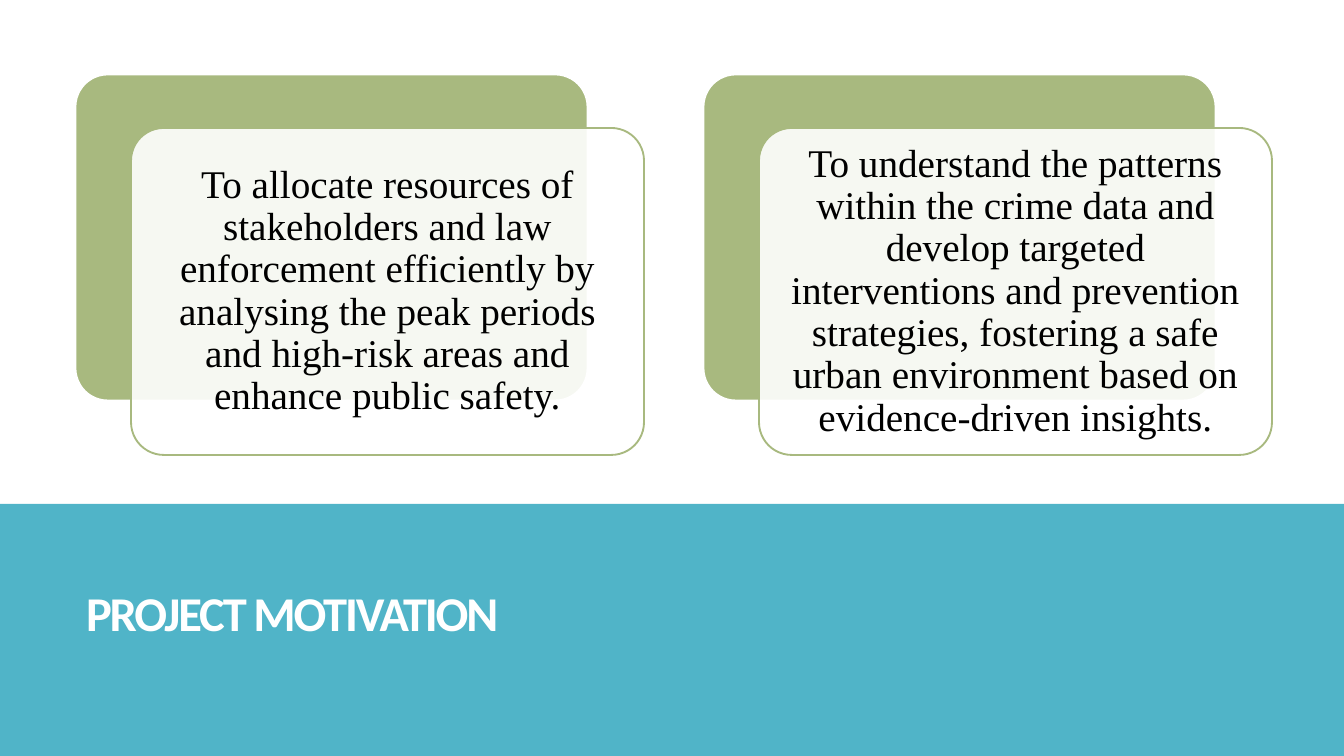
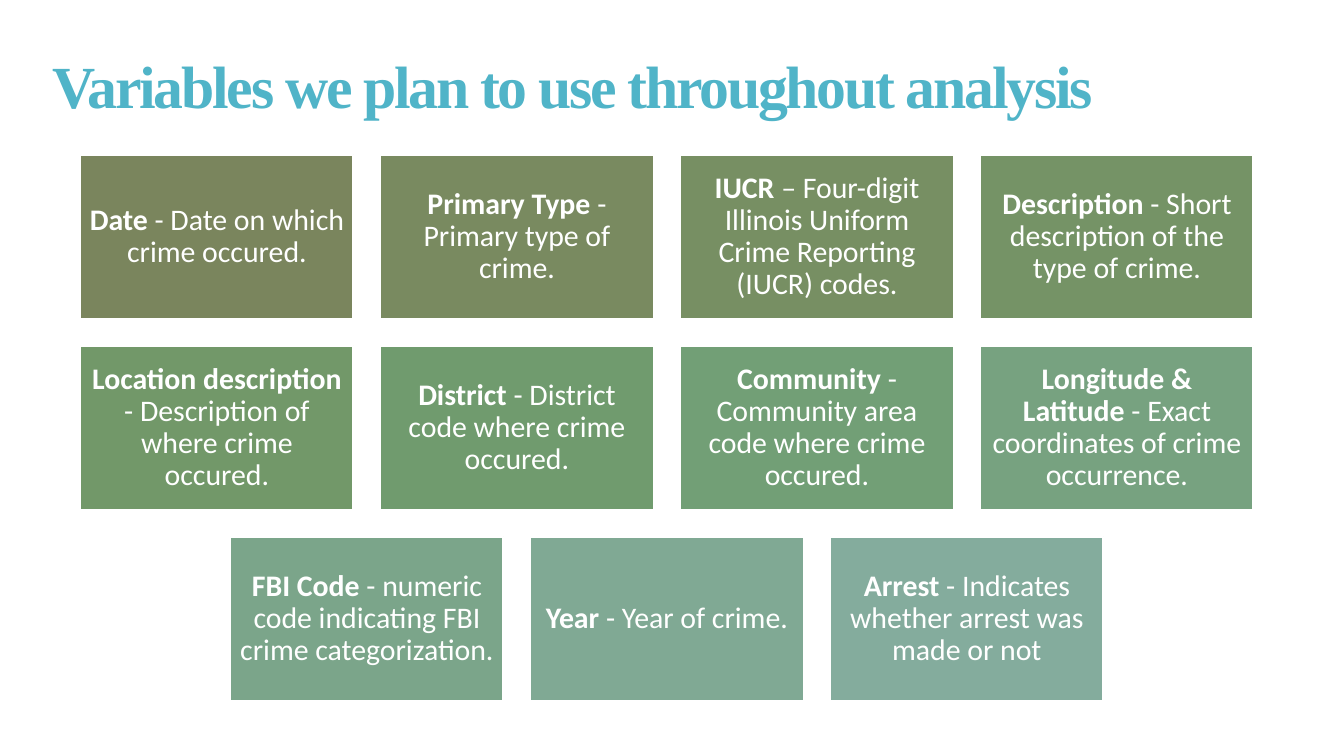
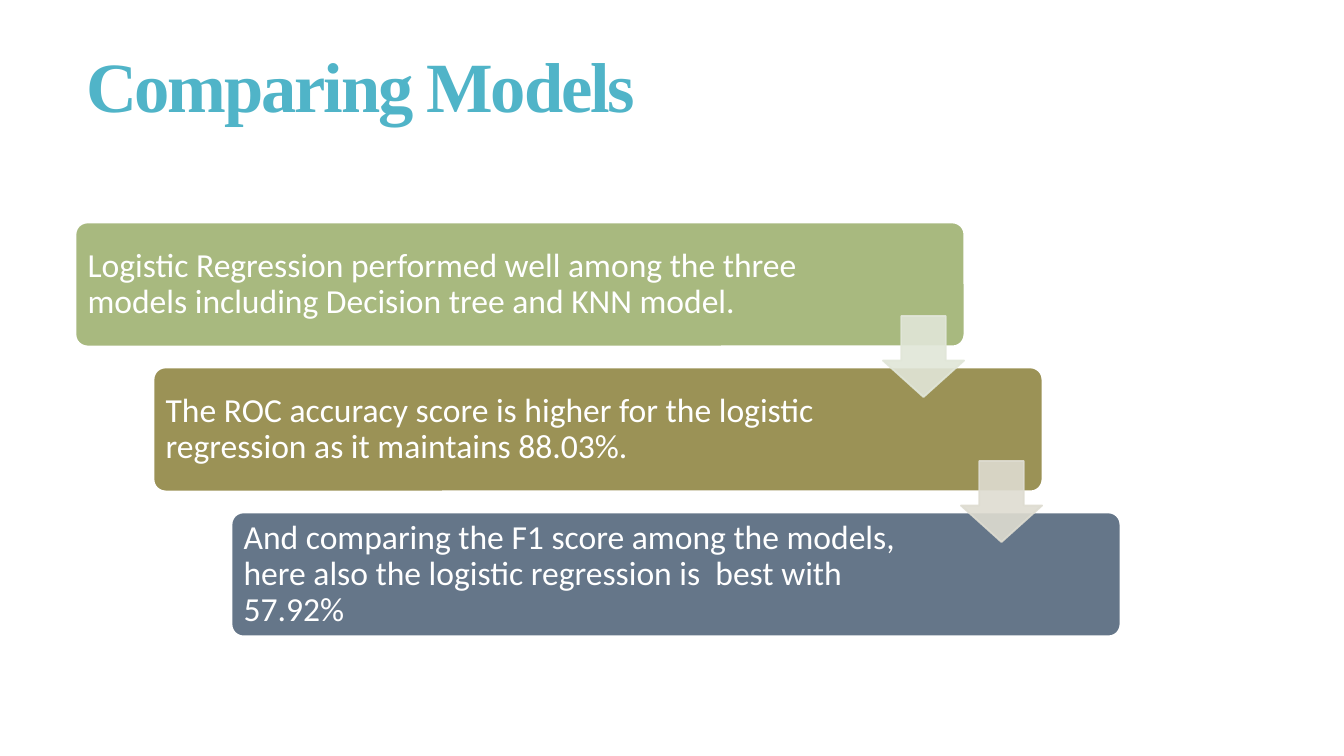
from pptx import Presentation
from pptx import util as u
from pptx.dml.color import RGBColor
from pptx.enum import shapes, text
from pptx.oxml.ns import qn
from lxml import etree

EMU_PER_PX = 914400 / 134.4
SLIDE_WIDTH, SLIDE_HEIGHT = 1344, 756
TITLE_ONLY = 5

WHITE = RGBColor(0xFF, 0xFF, 0xFF)
BLACK = RGBColor(0x00, 0x00, 0x00)
TEAL = RGBColor(0x50, 0xB4, 0xC8)
GREEN = RGBColor(0xA8, 0xB9, 0x7F)
OLIVE = RGBColor(0x9B, 0x92, 0x56)
SLATE = RGBColor(0x65, 0x76, 0x89)
PALE_GREEN = RGBColor(0xE1, 0xE6, 0xD8)
PALE_OLIVE = RGBColor(0xDE, 0xDC, 0xD1)
TILE_COLOURS = [RGBColor.from_string(code) for code in (
    "7A855D", "798A60", "778F63", "759366", "729869", "709B6E",
    "729F76", "77A280", "7BA58A", "80A994", "84AC9D")]

SANS, SERIF = "Calibri", "Times New Roman"
RECTANGLE = shapes.MSO_SHAPE.RECTANGLE
ROUNDED = shapes.MSO_SHAPE.ROUNDED_RECTANGLE
ARROW = shapes.MSO_SHAPE.DOWN_ARROW
LEFT, CENTER = text.PP_ALIGN.LEFT, text.PP_ALIGN.CENTER

MOTIVATIONS = [
    "To allocate resources of stakeholders and law enforcement efficiently by "
    "analysing the peak periods and high-risk areas and enhance public safety.",
    "To understand the patterns within the crime data and develop targeted "
    "interventions and prevention strategies, fostering a safe urban environment "
    "based on evidence-driven insights.",
]

VARIABLE_ROWS = [
    [("Date", " - Date on which crime occured."),
     ("Primary Type", " - Primary type of crime."),
     ("IUCR ", "– Four-digit Illinois Uniform Crime Reporting (IUCR) codes."),
     ("Description", " - Short description of the type of crime.")],
    [("Location description", " - Description of where crime occured."),
     ("District ", "- District code where crime occured."),
     ("Community ", "- Community area code where crime occured."),
     ("Longitude & Latitude", " - Exact coordinates of crime occurrence.")],
    [("FBI Code", " - numeric code indicating FBI crime categorization."),
     ("Year", " - Year of crime."),
     ("Arrest", " - Indicates whether arrest was made or not")],
]

# Text, bar colour, right inset that keeps the text clear of the arrows
FINDINGS = [
    ("Logistic Regression performed well among the three models including "
     "Decision tree and KNN model.", GREEN, 137),
    ("The ROC accuracy score is higher for the logistic regression as it "
     "maintains 88.03%.", OLIVE, 168),
    ("And comparing the F1 score among the models, here also the logistic "
     "regression is  best with 57.92%", SLATE, 168),
]


def px(length):
    return u.Emu(round(length * EMU_PER_PX))


def fade(element, percent=90):
    """Give every colour inside the element this opacity."""
    for colour in element.iter(qn("a:srgbClr")):
        etree.SubElement(colour, qn("a:alpha"), val=str(percent * 1000))


def add_box(slide, kind, box, fill, line=None, line_width=1, adjustments=()):
    shape = slide.shapes.add_shape(kind, *map(px, box))
    shape.shadow.inherit = False
    shape.fill.solid()
    shape.fill.fore_color.rgb = fill
    if line is None:
        shape.line.fill.background()
    else:
        shape.line.color.rgb = line
        shape.line.width = u.Pt(line_width)
    for index, value in enumerate(adjustments):
        shape.adjustments[index] = value
    return shape


def add_run(paragraph, words, size, font, colour, bold=False):
    run = paragraph.add_run()
    run.text = words
    run.font.size = u.Pt(size)
    run.font.name = font
    run.font.color.rgb = colour
    run.font.bold = bold
    return run


def prepare_text(shape, insets, align, line_spacing=0.9):
    """Set up the text frame and return its first paragraph."""
    frame = shape.text_frame
    frame.word_wrap = True
    frame.auto_size = text.MSO_AUTO_SIZE.NONE
    frame.vertical_anchor = text.MSO_ANCHOR.MIDDLE
    (frame.margin_left, frame.margin_top,
     frame.margin_right, frame.margin_bottom) = map(px, insets)
    paragraph = frame.paragraphs[0]
    paragraph.alignment = align
    paragraph.line_spacing = line_spacing
    return paragraph


def add_titled_slide(presentation, words, box, size, font=SERIF, colour=TEAL):
    slide = presentation.slides.add_slide(presentation.slide_layouts[TITLE_ONLY])
    title = slide.shapes.title
    title.left, title.top, title.width, title.height = map(px, box)
    paragraph = prepare_text(title, (13, 7, 13, 7), LEFT, 0.85)
    run = add_run(paragraph, words, size, font, colour, bold=True)
    run.font._element.set("spc", "-120")
    return slide


def add_motivation_card(slide, left, words):
    top, width, height = 74, 513, 327
    add_box(slide, ROUNDED, (left, top, width, height), GREEN, WHITE, 1.5, [0.1])
    front = add_box(slide, ROUNDED, (left + 56, top + 54, width, height),
                    WHITE, GREEN, 1, [0.1])
    fade(front.element.spPr.find(qn("a:solidFill")))
    add_run(prepare_text(front, [12] * 4, CENTER), words, 21, SERIF, BLACK)


def add_variable_tile(slide, left, top, width, height, colour, variable):
    name, meaning = variable
    tile = add_box(slide, RECTANGLE, (left, top, width, height), colour, WHITE)
    paragraph = prepare_text(tile, [9] * 4, CENTER)
    add_run(paragraph, name, 16, SANS, WHITE, bold=True)
    add_run(paragraph, meaning, 16, SANS, WHITE)


def build_motivation(presentation):
    slide = add_titled_slide(presentation, "PROJECT MOTIVATION",
                             (73, 526, 1188, 182), 26, SANS, WHITE)
    band = add_box(slide, RECTANGLE, (0, 504, SLIDE_WIDTH, 252), TEAL)
    slide.shapes.title.element.addprevious(band.element)
    for index, words in enumerate(MOTIVATIONS):
        add_motivation_card(slide, 75 + 628 * index, words)


def build_variables(presentation):
    slide = add_titled_slide(presentation, "Variables we plan to use throughout analysis",
                             (39, 39, 1220, 103), 32)
    width, height, gap, grid_center = 273, 164, 27, 667
    colours = iter(TILE_COLOURS)
    for row, variables in enumerate(VARIABLE_ROWS):
        row_width = len(variables) * (width + gap) - gap
        for column, variable in enumerate(variables):
            add_variable_tile(slide, grid_center - row_width / 2 + column * (width + gap),
                              155 + row * (height + gap), width, height,
                              next(colours), variable)


def build_comparison(presentation):
    slide = add_titled_slide(presentation, "Comparing Models", (73, 55, 1188, 134), 37.8)
    title_frame = slide.shapes.title.text_frame
    title_frame.vertical_anchor = text.MSO_ANCHOR.TOP
    title_frame.margin_top = 0
    step_x, step_y = 78, 145
    for index, (words, colour, right_inset) in enumerate(FINDINGS):
        bar = add_box(slide, ROUNDED,
                      (75 + index * step_x, 222 + index * step_y, 890, 125),
                      colour, WHITE, 1.5, [0.1])
        paragraph = prepare_text(bar, (9, 9, right_inset, 9), LEFT)
        add_run(paragraph, words, 18, SANS, WHITE)
    for index, colour in enumerate((PALE_GREEN, PALE_OLIVE)):
        arrow = add_box(slide, ARROW,
                        (883 + index * step_x, 316 + index * step_y, 81, 81),
                        colour, colour, 1, [0.55, 0.45])
        fade(arrow.element.spPr)


def main():
    presentation = Presentation()
    presentation.slide_width = px(SLIDE_WIDTH)
    presentation.slide_height = px(SLIDE_HEIGHT)
    build_motivation(presentation)
    build_variables(presentation)
    build_comparison(presentation)
    presentation.save("out.pptx")


if __name__ == "__main__":
    main()
